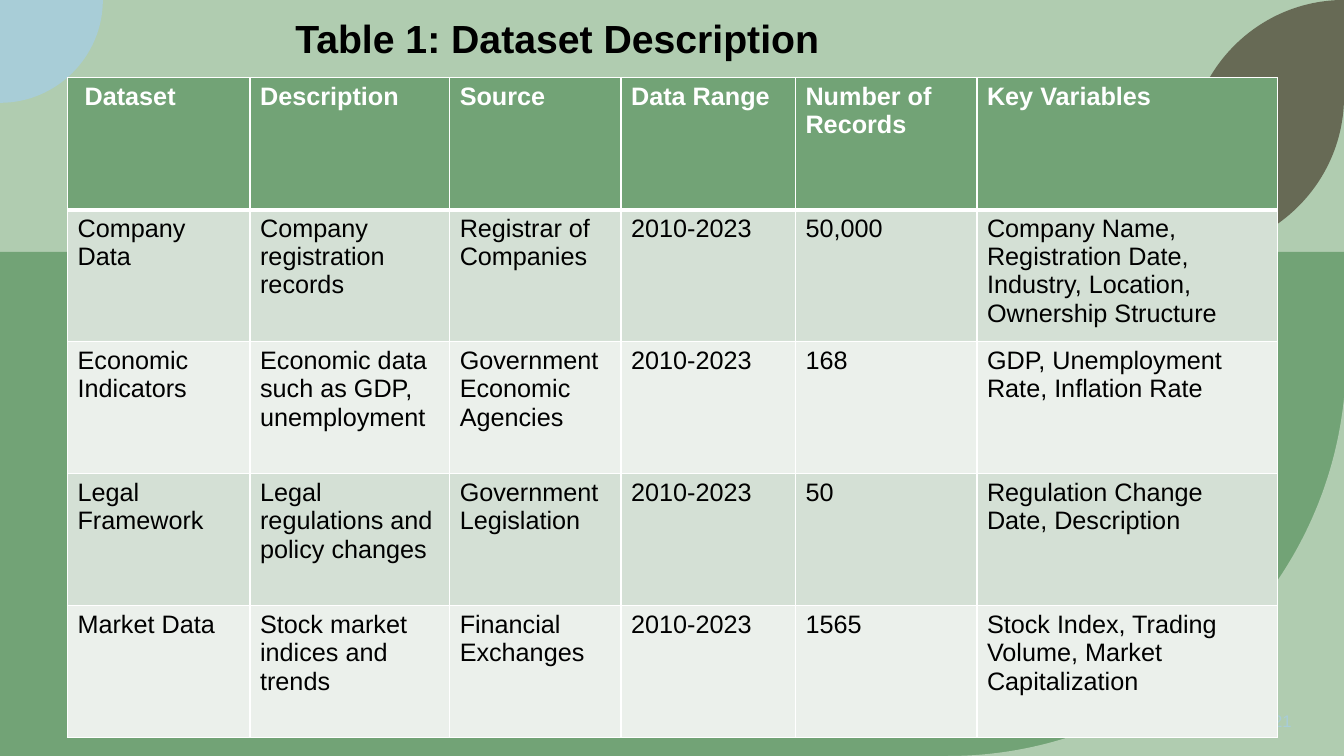
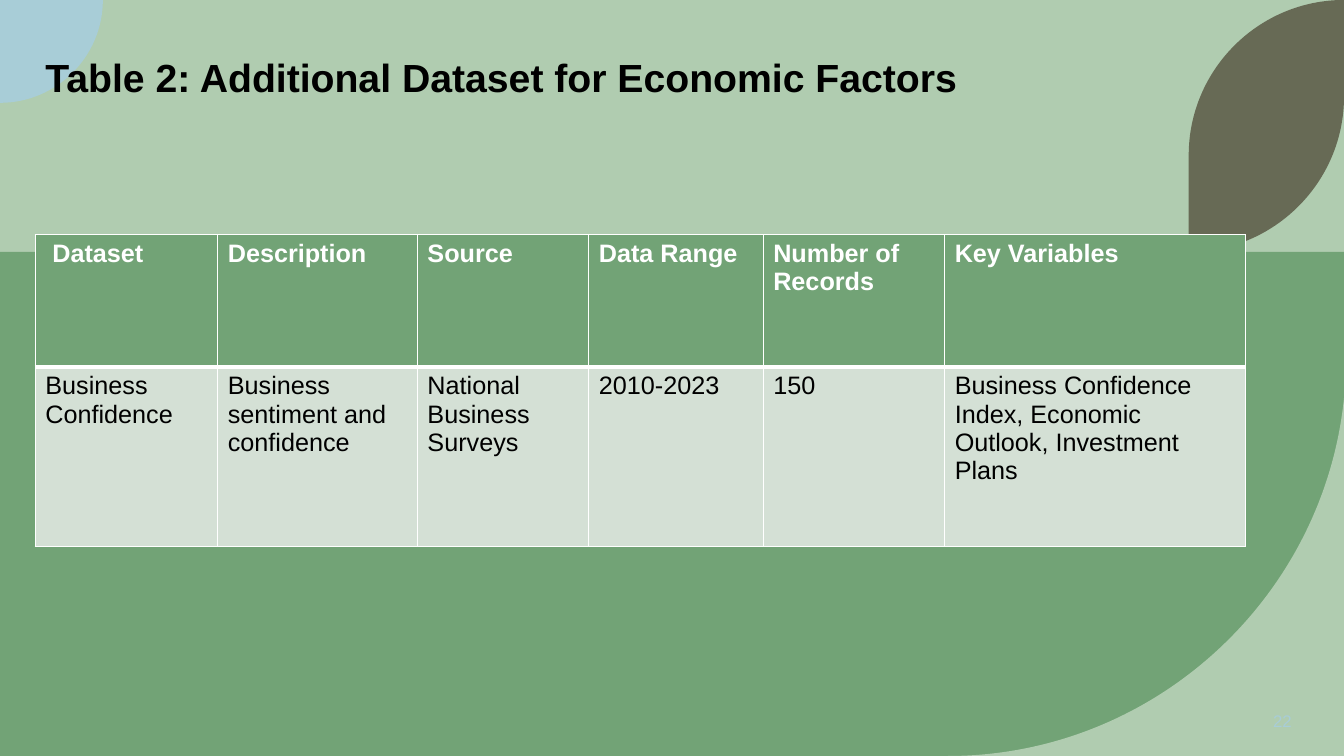
from dataclasses import dataclass

from lxml.etree import SubElement
from pptx import Presentation
from pptx.dml.color import RGBColor
from pptx.enum.shapes import MSO_SHAPE
from pptx.enum.text import MSO_ANCHOR, PP_ALIGN
from pptx.oxml import parse_xml
from pptx.oxml.ns import nsdecls, qn
from pptx.util import Inches, Pt


@dataclass(frozen=True)
class Theme:
    font: str = "Arial"
    pale: str = "B0CCB0"
    green: str = "72A376"
    blue: str = "A8CDD7"
    brown: str = "676A55"
    bands: tuple = ("D4E0D5", "EBF0EB")
    white: str = "FFFFFF"
    black: str = "000000"
    title: int = 28
    body: int = 18
    small: int = 12
    thin: int = 1
    thick: int = 3


THEME = Theme()
WIDE, HIGH = 13.33, 7.5
BLEED = 0.02
ROUND = 0.55  # pull of a quarter circle's handles towards its corner
COLS = (1.81, 1.98, 1.7, 1.73, 1.8, 2.98)
HEAD = (" Dataset", "Description", "Source", "Data Range",
        "Number of Records", "Key Variables")
SPAN = "2010-2023"

MAIN = (
    ("Company Data", "Company registration records", "Registrar of Companies",
     SPAN, "50,000",
     "Company Name, Registration Date, Industry, Location, Ownership Structure"),
    ("Economic Indicators", "Economic data such as GDP, unemployment",
     "Government Economic Agencies", SPAN, "168",
     "GDP, Unemployment Rate, Inflation Rate"),
    ("Legal Framework", "Legal regulations and policy changes",
     "Government Legislation", SPAN, "50",
     "Regulation Change Date, Description"),
    ("Market Data", "Stock market indices and trends", "Financial Exchanges",
     SPAN, "1565", "Stock Index, Trading Volume, Market Capitalization"),
)
EXTRA = (
    ("Business Confidence", "Business sentiment and confidence",
     "National Business Surveys", SPAN, "150",
     "Business Confidence Index, Economic Outlook, Investment Plans"),
)


def paint(fill, color):
    fill.solid()
    fill.fore_color.rgb = RGBColor.from_string(color)


def write(frame, text, size=THEME.body, color=THEME.black, bold=False,
          align=PP_ALIGN.LEFT, anchor=MSO_ANCHOR.TOP):
    frame.word_wrap = True
    frame.vertical_anchor = anchor
    para = frame.paragraphs[0]
    para.alignment = align
    run = para.add_run()
    run.text = text
    font = run.font
    font.name, font.size, font.bold = THEME.font, Pt(size), bold
    font.color.rgb = RGBColor.from_string(color)


def label(slide, box, text, **style):
    shape = slide.shapes.add_textbox(*map(Inches, box))
    write(shape.text_frame, text, **style)


# Decor shared by the slides
def finish(shape, color):
    shape.shadow.inherit = False
    paint(shape.fill, color)
    shape.line.fill.background()


def bend(start, corner, end):
    """Curve points for a quarter circle that rounds off the corner."""
    pull = [tuple(p + ROUND * (c - p) for p, c in zip(point, corner))
            for point in (start, end)]
    return [*pull, end]


def outline(slide, color, start, *parts):
    """Draw parts: lists of three points are curves, lists of one are lines."""
    pen = slide.shapes.build_freeform(*map(Inches, start))
    pen.add_line_segments(
        [tuple(map(Inches, point)) for part in parts for point in part])
    shape = pen.convert_to_shape()
    finish(shape, color)
    lines = iter(list(shape._element.iter(qn("a:lnTo"))))
    for part in parts:
        group = [next(lines) for _ in part]
        if len(group) == 3:
            curve = parse_xml(f"<a:cubicBezTo {nsdecls('a')}/>")
            group[0].addprevious(curve)
            for line in group:
                curve.append(line[0])
                line.getparent().remove(line)


def decor(slide, width, height):
    top, edge = height / 3, width + BLEED
    band = slide.shapes.add_shape(
        MSO_SHAPE.RECTANGLE, 0, Inches(top), Inches(edge), Inches(height - top))
    finish(band, THEME.green)
    # Bottom right sweep
    size = 3.95
    start, corner = (edge, height - size), (edge, height)
    outline(slide, THEME.pale, start,
            bend(start, corner, (edge - size, height)), [corner])
    # Top left quarter
    size = 1.02
    start = (size, 0)
    outline(slide, THEME.blue, start,
            bend(start, (size, size), (0, size)), [(0, 0)])
    # Top right leaf
    size = 1.54
    left = width - size
    start, lower = (width, top - size), (left, top)
    upper = (left, size)
    outline(slide, THEME.brown, start, bend(start, (width, top), lower),
            [upper], bend(upper, (left, 0), (width, 0)))


# Tables
def border(cell, sides):
    props = cell._tc.get_or_add_tcPr()
    for side, width in sides.items():
        line = SubElement(props, qn(f"a:ln{side}"), w=str(Pt(width)))
        fill = SubElement(line, qn("a:solidFill"))
        SubElement(fill, qn("a:srgbClr"), val=THEME.white)


def grid(slide, left, top, rows, heights):
    data = (HEAD, *rows)
    frame = slide.shapes.add_table(
        len(data), len(COLS), Inches(left), Inches(top),
        Inches(sum(COLS)), Inches(sum(heights)))
    table = frame.table
    table.horz_banding = False
    for col, width in zip(table.columns, COLS):
        col.width = Inches(width)
    for r, (row, height) in enumerate(zip(data, heights)):
        table.rows[r].height = Inches(height)
        head = r == 0
        sides = dict.fromkeys("LRTB", THEME.thin)
        if r < 2:
            sides["B" if head else "T"] = THEME.thick
        for c, text in enumerate(row):
            cell = table.cell(r, c)
            border(cell, sides)
            paint(cell.fill, THEME.green if head else THEME.bands[(r - 1) % 2])
            write(cell.text_frame, text, bold=head,
                  color=THEME.white if head else THEME.black)


def page(deck, number, title, box, align, place, rows, heights):
    slide = deck.slides.add_slide(deck.slide_layouts[6])
    paint(slide.background.fill, THEME.pale)
    decor(slide, WIDE, HIGH)
    label(slide, (WIDE - 2.17, HIGH - 0.55, 1.75, 0.4), number,
          size=THEME.small, color=THEME.blue, align=PP_ALIGN.RIGHT,
          anchor=MSO_ANCHOR.MIDDLE)
    label(slide, box, title, size=THEME.title, bold=True, align=align)
    grid(slide, *place, rows, heights)


def main():
    deck = Presentation()
    deck.slide_width, deck.slide_height = Inches(WIDE), Inches(HIGH)
    page(deck, "21", "Table 1: Dataset Description", (2.83, 0.09, 5.48, 0.57),
         PP_ALIGN.LEFT, (0.67, 0.77), MAIN, (1.31,) * 5)
    page(deck, "22", "Table 2: Additional Dataset for Economic Factors",
         (0.16, 0.48, 9.62, 1.04), PP_ALIGN.CENTER, (0.35, 2.33), EXTRA,
         (1.31, 1.78))
    deck.save("out.pptx")


if __name__ == "__main__":
    main()
